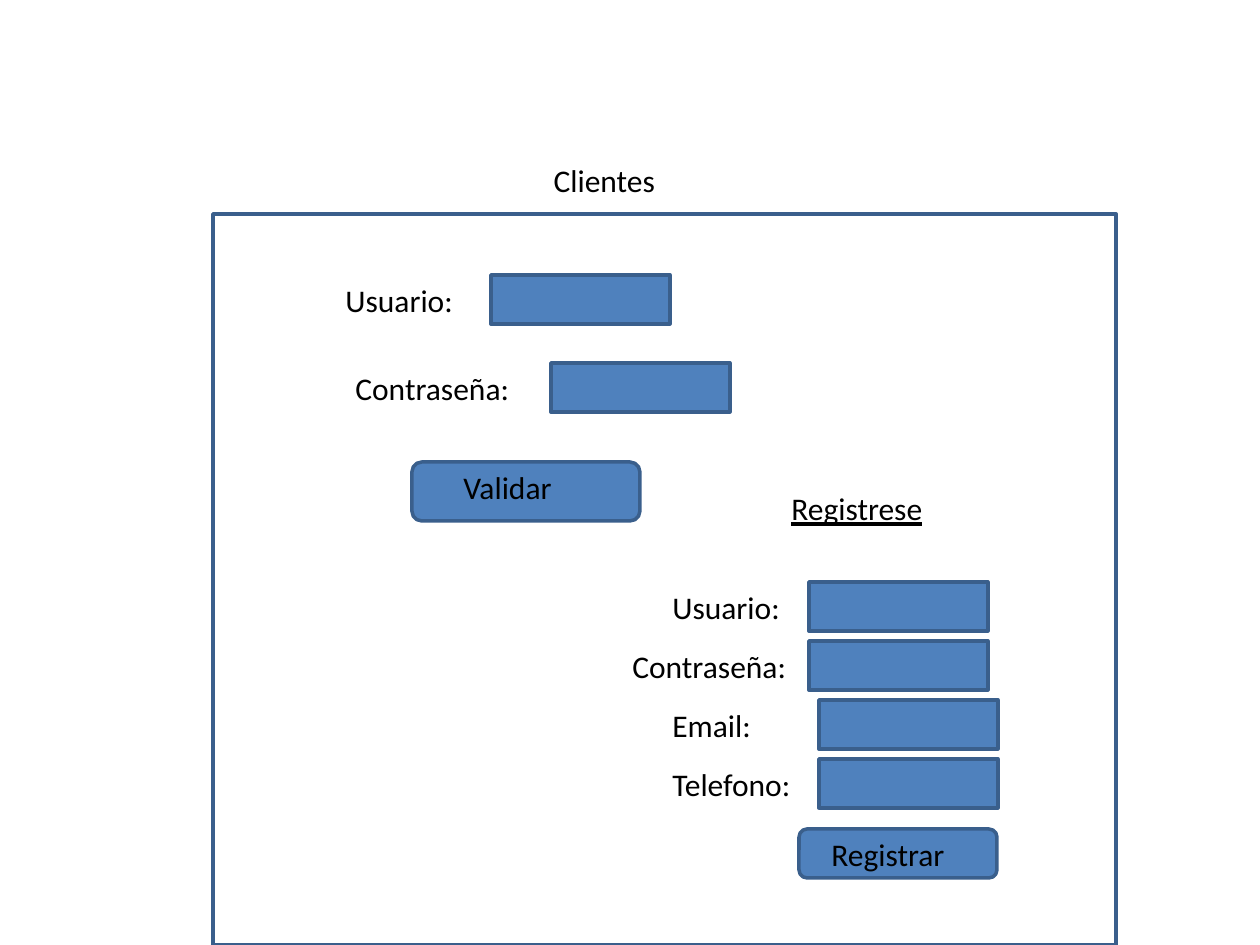
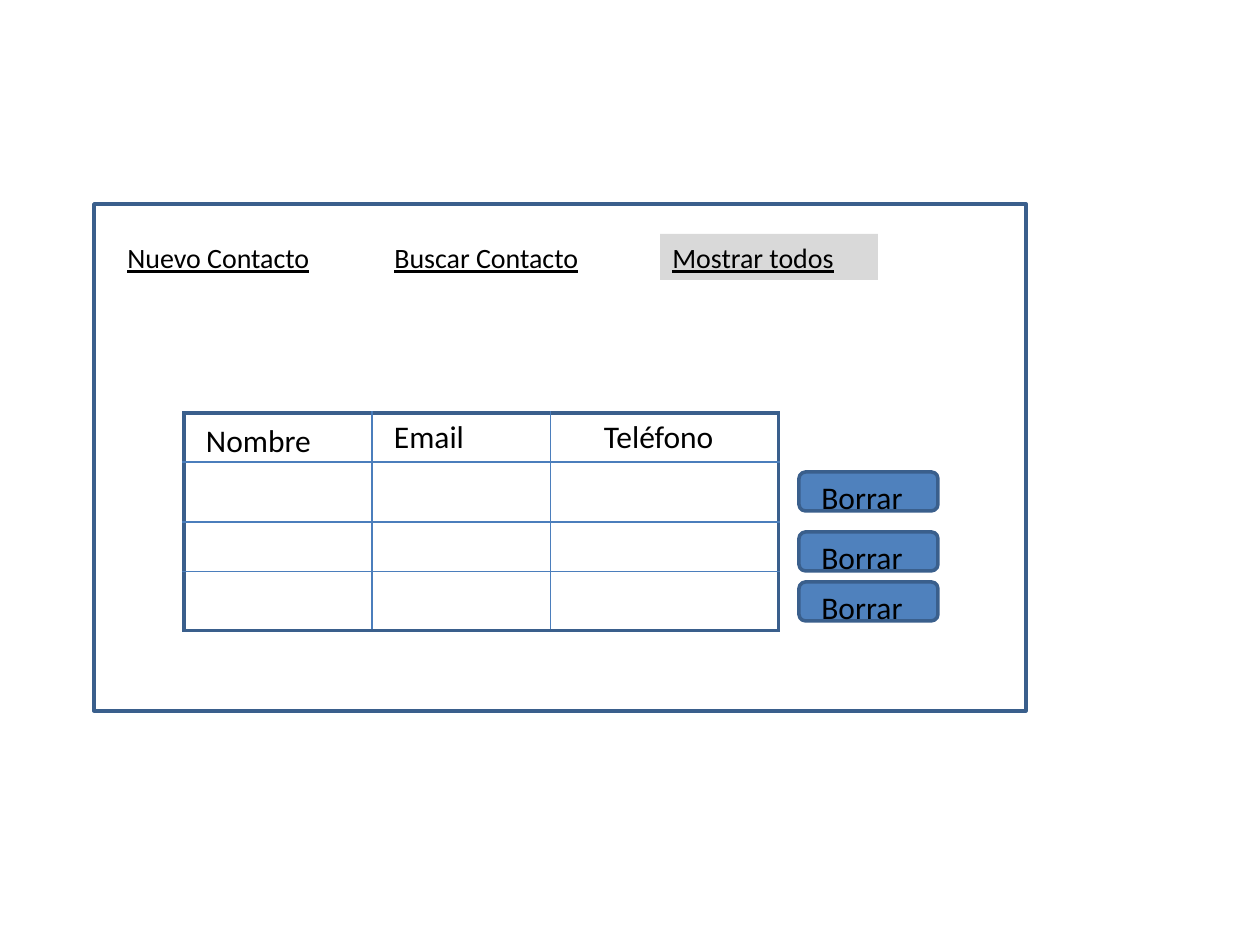
from itertools import accumulate

from lxml.etree import SubElement
from pptx import Presentation
from pptx.dml.color import RGBColor
from pptx.enum.shapes import MSO_SHAPE
from pptx.enum.text import MSO_ANCHOR, MSO_AUTO_SIZE, PP_ALIGN
from pptx.oxml.ns import qn
from pptx.util import Emu, Inches, Pt

PX_PER_INCH = 126
FONT = "Calibri"
INK, BLUE, EDGE, GRID, ACTIVE = "000000", "4F81BD", "3A5F8C", "4B7EBC", "D9D9D9"
EDGE_PT, GRID_PT = 2, 0.75
LABEL_HEIGHT = 50
FIELD_SIZE = (179, 49)
TITLE_ONLY, BLANK = 5, 6


def px(length):
    return Emu(round(length * Inches(1) / PX_PER_INCH))


def color(hex_code):
    return RGBColor.from_string(hex_code)


def place(box, x, y, width, height):
    """Turn a position inside box into slide lengths."""
    return [px(n) for n in (box[0] + x, box[1] + y, width, height)]


def write(frame, text, size=18, underline=None):
    layout = {"word_wrap": True, "auto_size": MSO_AUTO_SIZE.NONE,
              "vertical_anchor": MSO_ANCHOR.TOP}
    for name, value in layout.items():
        setattr(frame, name, value)
    line = frame.paragraphs[0]
    line.alignment = PP_ALIGN.LEFT
    run = line.add_run()
    run.text = text
    style_font(run.font, size, underline)


def style_font(font, size, underline=None):
    for name, value in {"name": FONT, "size": Pt(size), "underline": underline}.items():
        setattr(font, name, value)
    font.color.rgb = color(INK)


def add_label(slide, box, x, y, width, text):
    label = slide.shapes.add_textbox(*place(box, x, y, width, LABEL_HEIGHT))
    write(label.text_frame, text)
    return label


def add_block(slide, box, x, y, width, height, fill=BLUE, edge=EDGE,
              preset=MSO_SHAPE.RECTANGLE):
    block = slide.shapes.add_shape(preset, *place(box, x, y, width, height))
    block.shadow.inherit = False
    if fill:
        block.fill.solid()
        block.fill.fore_color.rgb = color(fill)
    else:
        block.fill.background()
    if edge:
        block.line.color.rgb = color(edge)
        block.line.width = Pt(EDGE_PT)
    else:
        block.line.fill.background()
    return block


def add_window(slide, box):
    add_block(slide, box, 0, 0, box[2], box[3], fill=None)


def add_button(slide, box, x, y, width, height, text, text_indent, text_width):
    add_block(slide, box, x, y, width, height, preset=MSO_SHAPE.ROUNDED_RECTANGLE)
    add_label(slide, box, x + text_indent, y, text_width, text)


def add_form(slide, box, rows, step):
    """Stack rows of (caption, caption x, caption width, field x) inside box."""
    for index, (caption, caption_x, caption_width, field_x) in enumerate(rows):
        y = index * step
        add_label(slide, box, caption_x, y, caption_width, caption)
        add_block(slide, box, field_x, y, *FIELD_SIZE)


def add_heading(slide, text, box):
    heading = slide.shapes.title
    for name, value in zip(("left", "top", "width", "height"), place(box, 0, 0, *box[2:])):
        setattr(heading, name, value)
    write(heading.text_frame, text)


def add_login(slide, box):
    x, y = box[:2]
    add_form(slide, (x, y + 61), [("Usuario:", 120, 258, 278),
                                  ("Contraseña:", 130, 258, 338)], 88)
    add_button(slide, box, 199, 248, 228, 59, "Validar", 39, 198)


def add_registration(slide, box):
    caption = add_label(slide, box, 159, 0, 179, "Registrese")
    caption.text_frame.paragraphs[0].runs[0].font.underline = True
    x, y = box[:2]
    rows = [("Usuario:", 40, 149, 189), ("Contraseña:", 0, 189, 189),
            ("Email:", 40, 149, 199), ("Telefono:", 40, 149, 199)]
    add_form(slide, (x, y + 99), rows, 59)
    add_button(slide, box, 179, 346, 198, 49, "Registrar", 20, 189)


def add_tabs(slide, box, tabs, active):
    for x, text in tabs:
        fill = ACTIVE if text == active else None
        tab = add_block(slide, box, x, 0, 218, 46, fill=fill, edge=None)
        write(tab.text_frame, text, 16, True)


def set_borders(cell, edges):
    """Draw the L, R, T and B borders; edges tells which are on the outside."""
    properties = cell._tc.get_or_add_tcPr()
    for side, outer in edges.items():
        hex_code, points = (EDGE, EDGE_PT) if outer else (GRID, GRID_PT)
        border = SubElement(properties, qn(f"a:ln{side}"), w=str(Pt(points)))
        SubElement(SubElement(border, qn("a:solidFill")), qn("a:srgbClr"), val=hex_code)


def add_contacts(slide, box):
    columns = [("Nombre", 188, 22, 9), ("Email", 179, 22, 6), ("Teléfono", 228, 53, 6)]
    heights = [49, 60, 50, 59]
    widths = [width for _, width, _, _ in columns]
    table = slide.shapes.add_table(len(heights), len(columns),
                                   *place(box, 0, 0, sum(widths), sum(heights))).table
    table.first_row = table.horz_banding = False
    for row, height in zip(table.rows, heights):
        row.height = px(height)
    for c, (heading, width, indent, drop) in enumerate(columns):
        table.columns[c].width = px(width)
        for r in range(len(heights)):
            cell = table.cell(r, c)
            set_borders(cell, {"L": c == 0, "R": c == len(columns) - 1,
                               "T": r == 0, "B": r == len(heights) - 1})
            cell.fill.background()
            for side, margin in {"left": indent, "right": 0, "top": drop, "bottom": 0}.items():
                setattr(cell, f"margin_{side}", px(margin))
            line = cell.text_frame.paragraphs[0]
            if r == 0:
                line.text = heading
            style_font(line.runs[0].font if r == 0 else line.font, 18)
    for row_top in list(accumulate(heights))[:-1]:
        add_button(slide, box, 615, row_top + 10, 139, 39, "Borrar", 10, 110)


def build_clients(deck):
    slide = deck.slides.add_slide(deck.slide_layouts[TITLE_ONLY])
    window = (213, 214, 903, 731)
    add_window(slide, window)
    add_login(slide, window)
    add_registration(slide, (window[0] + 407, window[1] + 269))
    add_heading(slide, "Clientes", (541, 155, 189, LABEL_HEIGHT))


def build_contacts(deck):
    slide = deck.slides.add_slide(deck.slide_layouts[BLANK])
    window = (94, 204, 932, 507)
    add_window(slide, window)
    x, y = window[:2]
    tabs = [(0, "Nuevo Contacto"), (267, "Buscar Contacto"), (545, "Mostrar todos")]
    add_tabs(slide, (x + 21, y + 30), tabs, "Mostrar todos")
    add_contacts(slide, (x + 90, y + 209))


def main():
    deck = Presentation()
    deck.slide_width, deck.slide_height = Inches(10), Inches(7.5)
    build_clients(deck)
    build_contacts(deck)
    deck.save("out.pptx")


if __name__ == "__main__":
    main()
